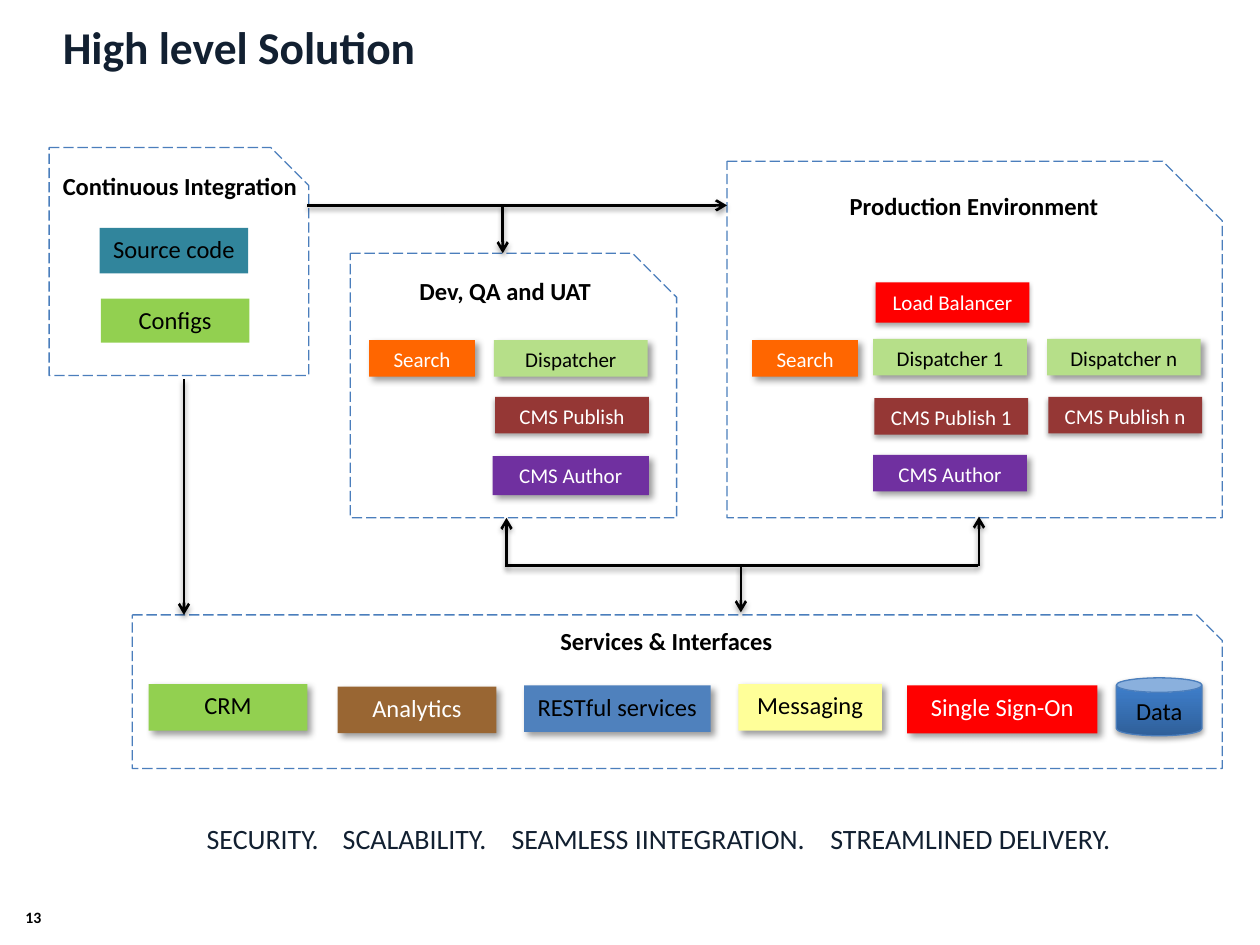
from dataclasses import dataclass
from typing import NamedTuple, Optional

from lxml import etree
from pptx import Presentation
from pptx.dml.color import RGBColor
from pptx.enum.dml import MSO_LINE
from pptx.enum.shapes import MSO_CONNECTOR, MSO_SHAPE
from pptx.enum.text import MSO_ANCHOR, PP_ALIGN
from pptx.oxml.ns import qn
from pptx.util import Pt

RECT, SNIP, CAN = MSO_SHAPE.RECTANGLE, MSO_SHAPE.SNIP_1_RECTANGLE, MSO_SHAPE.CAN
LEFT, CENTER = PP_ALIGN.LEFT, PP_ALIGN.CENTER
TOP, MIDDLE = MSO_ANCHOR.TOP, MSO_ANCHOR.MIDDLE
STRAIGHT, LONG_DASH = MSO_CONNECTOR.STRAIGHT, MSO_LINE.LONG_DASH
EMU_PER_PX = 9144


class Shadow(NamedTuple):
    alpha: int
    blur: float
    dist: float
    angle: int


@dataclass(frozen=True)
class Theme:
    font: str = "Calibri"
    navy: str = "122031"
    black: str = "000000"
    white: str = "FFFFFF"
    outline: str = "4B7EBC"
    green: str = "92D050"
    pale_green: str = "B6DF89"
    teal: str = "31859C"
    orange: str = "FF6600"
    maroon: str = "953735"
    purple: str = "7030A0"
    red: str = "FF0000"
    blue: str = "4F81BD"
    yellow: str = "FFFF99"
    brown: str = "996633"
    can_dark: str = "2F5F99"
    can_light: str = "3D7CC7"
    title: int = 26
    tagline: int = 16
    large: int = 14
    small: int = 12
    number: int = 9
    thin: float = 0.75
    thick: float = 1.5
    cast: Shadow = Shadow(40, 4, 3, 45)
    drop: Shadow = Shadow(35, 3.1, 1.8, 90)
    arrow: Shadow = Shadow(38, 3.1, 1.6, 90)


T = Theme()


class Area(NamedTuple):
    x: int
    y: int
    w: int
    h: int


@dataclass(frozen=True)
class Box:
    text: str
    area: Area
    fill: str
    color: str = T.black
    size: int = T.large
    shadow: Optional[Shadow] = T.cast
    anchor: MSO_ANCHOR = TOP


@dataclass(frozen=True)
class Label:
    text: str
    area: Area
    size: int = T.large
    color: str = T.black
    bold: bool = True
    align: PP_ALIGN = CENTER
    anchor: MSO_ANCHOR = TOP
    inset: int = 10


class Arrow(NamedTuple):
    x1: int
    y1: int
    x2: int
    y2: int
    head: bool = True


ZONES = [
    Area(39, 117, 206, 181),
    Area(278, 201, 259, 210),
    Area(577, 128, 393, 283),
    Area(105, 488, 865, 122),
]

LABELS = [
    Label("13", Area(12, 717, 29, 22), T.number, anchor=MIDDLE, inset=2),
    Label("High level Solution", Area(40, 5, 920, 63), T.title, T.navy, align=LEFT, anchor=MIDDLE),
    Label("Continuous Integration", Area(40, 131, 220, 29), align=LEFT),
    Label("Dev, QA and UAT", Area(300, 214, 202, 29)),
    Label("Production Environment", Area(664, 147, 218, 29)),
    Label("Services & Interfaces", Area(420, 492, 218, 29)),
]


def search(x: int) -> Box:
    return Box("Search", Area(x, 270, 84, 29), T.orange, T.white, T.small)


def dispatcher(text: str, x: int, y: int = 269) -> Box:
    return Box(text, Area(x, y, 122, 29), T.pale_green, size=T.small)


def publisher(text: str, x: int, y: int = 315) -> Box:
    return Box(text, Area(x, y, 122, 29), T.maroon, T.white, T.small, T.drop)


def author(area: Area) -> Box:
    return Box("CMS Author", area, T.purple, T.white, T.small)


BOXES = [
    Box("Source code", Area(79, 181, 118, 36), T.teal, shadow=None),
    Box("Configs", Area(80, 237, 118, 35), T.green, shadow=None),
    search(293),
    dispatcher("Dispatcher", 392, 270),
    publisher("CMS Publish", 393),
    author(Area(391, 362, 124, 31)),
    search(597),
    dispatcher("Dispatcher 1", 693),
    dispatcher("Dispatcher n", 831),
    publisher("CMS Publish 1", 694, 316),
    publisher("CMS Publish n", 832),
    author(Area(693, 361, 122, 29)),
    Box("Load Balancer", Area(695, 224, 122, 32), T.red, T.white, T.small, T.drop, MIDDLE),
    Box("CRM", Area(118, 543, 126, 37), T.green),
    Box("Analytics", Area(268, 545, 126, 37), T.brown, T.white),
    Box("RESTful services", Area(416, 544, 148, 37), T.blue),
    Box("Messaging", Area(586, 543, 114, 37), T.yellow),
    Box("Single Sign-On", Area(720, 544, 151, 38), T.red, T.white),
]
DATA = Box("Data", Area(886, 538, 68, 46), T.can_dark, shadow=T.drop, anchor=MIDDLE)

ARROWS = [
    Arrow(244, 163, 577, 163),
    Arrow(399, 163, 399, 201),
    Arrow(402, 449, 776, 449, head=False),
    Arrow(146, 301, 146, 488),
    Arrow(402, 450, 402, 411),
    Arrow(777, 449, 777, 410),
    Arrow(588, 449, 588, 486),
]

TAGLINE = Label("SECURITY.\tSCALABILITY.\tSEAMLESS IINTEGRATION.\tSTREAMLINED DELIVERY.",
                Area(114, 642, 818, 36), T.tagline, T.navy, bold=False, align=LEFT)
TAGLINE_INDENT = 50
TAGLINE_TABS = [108, 242, 495]


def px(*values: int) -> list[int]:
    return [v * EMU_PER_PX for v in values]


def rgb(color: str) -> RGBColor:
    return RGBColor.from_string(color)


def add_run(p, text: str, size: int, color: str, bold: bool = False) -> None:
    r = p.add_run()
    r.text = text
    r.font.name, r.font.size, r.font.bold = T.font, Pt(size), bold
    r.font.color.rgb = rgb(color)


def set_shadow(sp, shadow: Optional[Shadow]) -> None:
    effects = etree.SubElement(sp._element.spPr, qn("a:effectLst"))
    if shadow:
        outer = etree.SubElement(effects, qn("a:outerShdw"), blurRad=str(Pt(shadow.blur)),
                                 dist=str(Pt(shadow.dist)), dir=str(shadow.angle * 60000),
                                 rotWithShape="0")
        color = etree.SubElement(outer, qn("a:srgbClr"), val=T.black)
        etree.SubElement(color, qn("a:alpha"), val=str(shadow.alpha * 1000))


def add_label(shapes, label: Label):
    sp = shapes.add_textbox(*px(*label.area))
    tf = sp.text_frame
    tf.word_wrap, tf.vertical_anchor = True, label.anchor
    tf.margin_left = tf.margin_right = px(label.inset)[0]
    tf.margin_top = tf.margin_bottom = px(min(label.inset, 5))[0]
    p = tf.paragraphs[0]
    p.alignment = label.align
    add_run(p, label.text, label.size, label.color, label.bold)
    return sp


def add_tagline(shapes) -> None:
    tf = add_label(shapes, TAGLINE).text_frame
    tf.margin_left = px(TAGLINE_INDENT)[0]
    p = tf.paragraphs[0]
    p.line_spacing, p.space_before = 1.2, Pt(12)
    tabs = etree.SubElement(p._p.get_or_add_pPr(), qn("a:tabLst"))
    for pos in px(*TAGLINE_TABS):
        etree.SubElement(tabs, qn("a:tab"), pos=str(pos), algn="l")


def add_zone(shapes, area: Area) -> None:
    sp = shapes.add_shape(SNIP, *px(*area))
    sp.fill.background()
    sp.line.color.rgb, sp.line.width = rgb(T.outline), Pt(T.thin)
    sp.line.dash_style = LONG_DASH
    sp.shadow.inherit = False


def add_box(shapes, box: Box, kind: MSO_SHAPE = RECT) -> None:
    sp = shapes.add_shape(kind, *px(*box.area))
    if kind == CAN:
        sp.fill.gradient()
        sp.fill.gradient_angle = 90
        dark, light = sp.fill.gradient_stops
        dark.color.rgb, light.color.rgb = rgb(box.fill), rgb(T.can_light)
        light.position = 0.8
        sp.line.color.rgb, sp.line.width = rgb(T.outline), Pt(T.thin)
    else:
        sp.fill.solid()
        sp.fill.fore_color.rgb = rgb(box.fill)
        sp.line.fill.background()
    set_shadow(sp, box.shadow)
    tf = sp.text_frame
    tf.word_wrap, tf.vertical_anchor = False, box.anchor
    p = tf.paragraphs[0]
    p.alignment = CENTER
    add_run(p, box.text, box.size, box.color)


def add_arrow(shapes, arrow: Arrow) -> None:
    sp = shapes.add_connector(STRAIGHT, *px(*arrow[:4]))
    sp.line.color.rgb, sp.line.width = rgb(T.black), Pt(T.thick)
    if arrow.head:
        etree.SubElement(sp._element.spPr.find(qn("a:ln")), qn("a:tailEnd"), type="arrow")
    set_shadow(sp, T.arrow)


def main() -> None:
    prs = Presentation()
    prs.slide_width, prs.slide_height = px(1000, 750)
    shapes = prs.slides.add_slide(prs.slide_layouts[6]).shapes
    for zone in ZONES:
        add_zone(shapes, zone)
    for arrow in ARROWS:
        add_arrow(shapes, arrow)
    for box in BOXES:
        add_box(shapes, box)
    add_box(shapes, DATA, CAN)
    for label in LABELS:
        add_label(shapes, label)
    add_tagline(shapes)
    prs.save("out.pptx")


if __name__ == "__main__":
    main()
